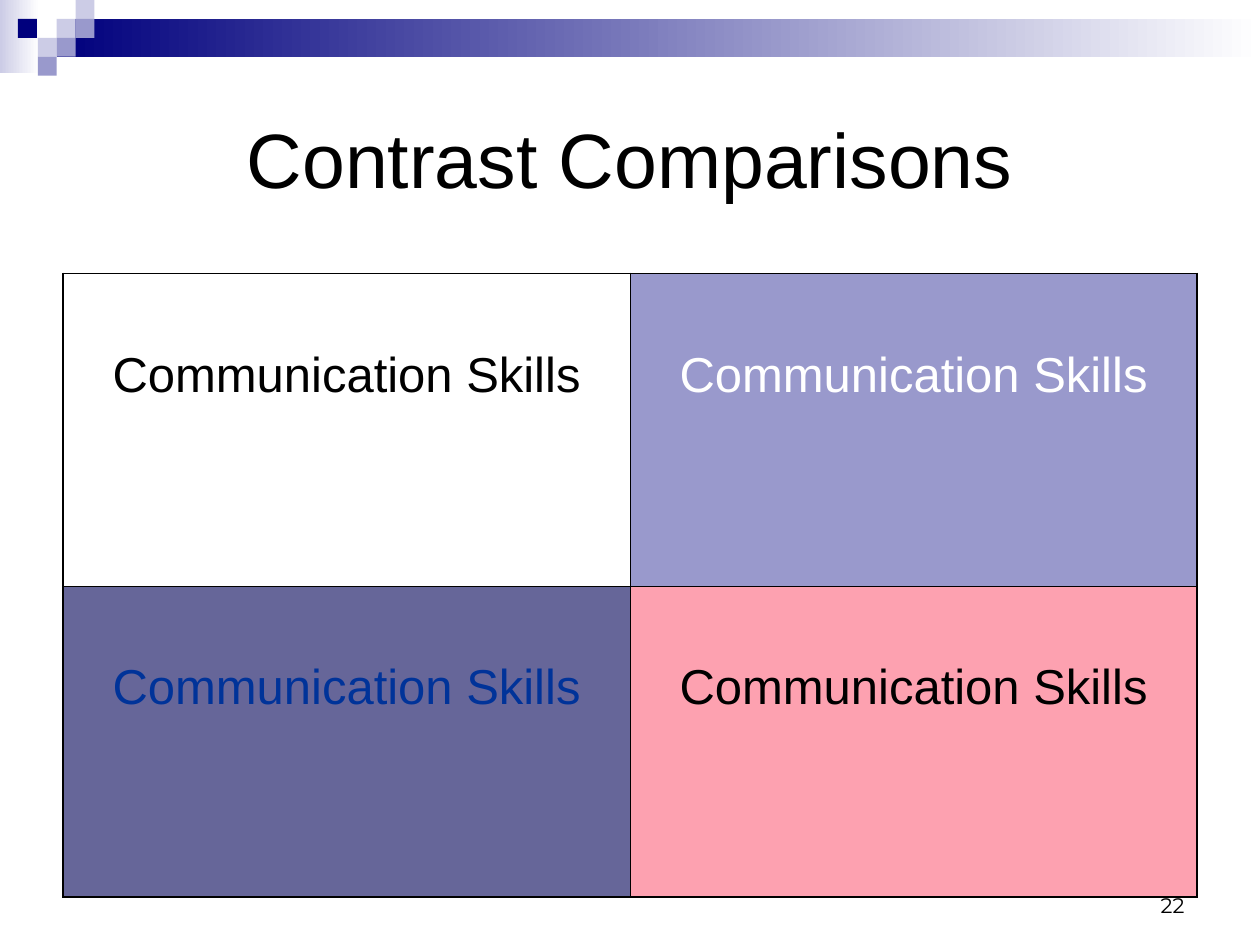
from lxml import etree
from pptx import Presentation
from pptx.dml.color import RGBColor
from pptx.enum.shapes import MSO_SHAPE
from pptx.enum.text import MSO_ANCHOR, PP_ALIGN
from pptx.oxml.ns import qn
from pptx.util import Inches, Pt

RECTANGLE = MSO_SHAPE.RECTANGLE
TOP, MIDDLE, BOTTOM = MSO_ANCHOR.TOP, MSO_ANCHOR.MIDDLE, MSO_ANCHOR.BOTTOM
CENTER, RIGHT = PP_ALIGN.CENTER, PP_ALIGN.RIGHT

LAYOUT_GRID = 0.5   # inches; the slide is 20 columns by 15 rows
MOSAIC_GRID = 0.15  # inches; side of one corner square
OUTER_LINE, INNER_LINE = 1.08, 0.45

BLACK, WHITE = "000000", "FFFFFF"
NAVY, LAVENDER, PERIWINKLE = "00007D", "CCCCE6", "9999CC"


def color(hex_value):
    return RGBColor.from_string(hex_value)


def grid_box(columns_rows, unit):
    return [Inches(value * unit) for value in columns_rows]


class SlideBuilder:
    font_name = "Arial"

    def __init__(self, slide):
        self.slide = slide

    def add_text(self, frame, text, size, text_color, align, font_name=None):
        paragraph = frame.paragraphs[0]
        paragraph.alignment = align
        run = paragraph.add_run()
        run.text = text
        run.font.size = Pt(size)
        run.font.name = font_name or self.font_name
        run.font.color.rgb = color(text_color)

    def title(self, text, box):
        shape = self.slide.shapes.title
        shape.left, shape.top, shape.width, shape.height = grid_box(box, LAYOUT_GRID)
        shape.text_frame.vertical_anchor = MIDDLE
        self.add_text(shape.text_frame, text, 44, BLACK, CENTER)

    def rectangle(self, box, *colors):
        """One colour gives a solid fill, two a left-to-right gradient."""
        shape = self.slide.shapes.add_shape(RECTANGLE, *grid_box(box, MOSAIC_GRID))
        shape.shadow.inherit = False
        shape.line.fill.background()
        if len(colors) == 1:
            shape.fill.solid()
            shape.fill.fore_color.rgb = color(colors[0])
            return
        shape.fill.gradient()
        shape.fill.gradient_angle = 0
        for position, (stop, stop_color) in enumerate(zip(shape.fill.gradient_stops, colors)):
            stop.position = position
            stop.color.rgb = color(stop_color)

    def page_number(self, text, box):
        shape = self.slide.shapes.add_textbox(*grid_box(box, LAYOUT_GRID))
        shape.text_frame.word_wrap = True
        shape.text_frame.vertical_anchor = BOTTOM
        self.add_text(shape.text_frame, text, 12, BLACK, RIGHT, "Montserrat")

    def border(self, cell, side, width):
        properties = cell._tc.get_or_add_tcPr()
        line = etree.SubElement(properties, qn(f"a:ln{side}"), w=str(Pt(width)))
        fill = etree.SubElement(line, qn("a:solidFill"))
        etree.SubElement(fill, qn("a:srgbClr"), val=BLACK)

    def table(self, rows, row_heights, box):
        row_count, column_count = len(rows), len(rows[0])
        table = self.slide.shapes.add_table(
            row_count, column_count, *grid_box(box, LAYOUT_GRID)).table
        table.first_row = table.horz_banding = False
        for row, height in zip(table.rows, row_heights):
            row.height = Inches(height * LAYOUT_GRID)
        for row_index, row in enumerate(rows):
            for column_index, (text, text_color, fill_color) in enumerate(row):
                cell = table.cell(row_index, column_index)
                on_edge = {
                    "L": column_index == 0,
                    "R": column_index == column_count - 1,
                    "T": row_index == 0,
                    "B": row_index == row_count - 1,
                }
                for side, outer in on_edge.items():
                    self.border(cell, side, OUTER_LINE if outer else INNER_LINE)
                cell.fill.solid()
                cell.fill.fore_color.rgb = color(fill_color)
                cell.vertical_anchor = TOP
                cell.margin_top = Inches(0.59)
                self.add_text(cell.text_frame, text, 28, text_color, CENTER)


def main():
    presentation = Presentation()
    presentation.slide_width, presentation.slide_height = Inches(10), Inches(7.5)
    title_only = presentation.slide_layouts[5]
    builder = SlideBuilder(presentation.slides.add_slide(title_only))

    # Header bands
    builder.rectangle((0, 0, 2.07, 3.87), LAVENDER, WHITE)
    builder.rectangle((3, 1, 63.67, 2), NAVY, WHITE)

    # Corner mosaic: column, row, colour
    mosaic = [
        (3, 1, LAVENDER), (4, 0, LAVENDER), (4, 1, PERIWINKLE), (2, 2, LAVENDER),
        (0.95, 1, NAVY), (3, 2, PERIWINKLE), (2, 3, PERIWINKLE),
    ]
    for column, row, square_color in mosaic:
        builder.rectangle((column, row, 1, 1), square_color)

    # Title and page number
    builder.title("Contrast Comparisons", (1, 1, 18, 3))
    builder.page_number("22", (14.34, 13.66, 4.66, 1))

    # Contrast samples: text, text colour, background
    sample = "Communication Skills"
    builder.table([
        [(sample, BLACK, WHITE), (sample, WHITE, PERIWINKLE)],
        [(sample, "003399", "666699"), (sample, BLACK, "FDA1B0")],
    ], row_heights=(4.96, 4.94), box=(1, 4.34, 18, 9.9))

    presentation.save("out.pptx")


if __name__ == "__main__":
    main()
